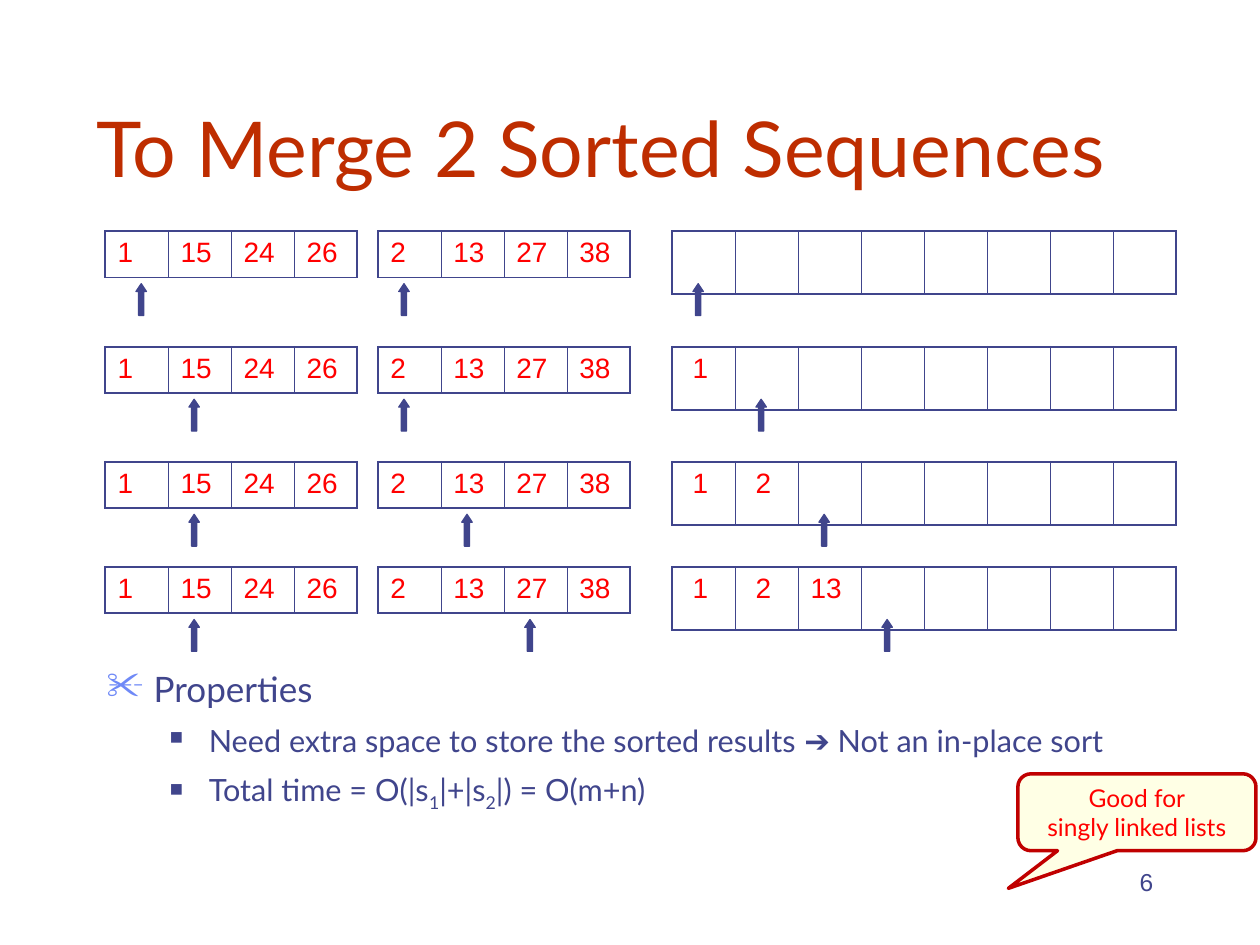
from dataclasses import dataclass
from typing import Any

from lxml import etree
from pptx import Presentation
from pptx.dml.color import RGBColor
from pptx.enum.shapes import MSO_SHAPE
from pptx.enum.text import MSO_ANCHOR, MSO_AUTO_SIZE, PP_ALIGN
from pptx.oxml.ns import qn
from pptx.util import Cm, Pt

UP_ARROW = MSO_SHAPE.UP_ARROW
CALLOUT = MSO_SHAPE.ROUNDED_RECTANGULAR_CALLOUT
TOP, MIDDLE, BOTTOM = MSO_ANCHOR.TOP, MSO_ANCHOR.MIDDLE, MSO_ANCHOR.BOTTOM
LEFT, CENTER, RIGHT = PP_ALIGN.LEFT, PP_ALIGN.CENTER, PP_ALIGN.RIGHT
FIT_SHAPE = MSO_AUTO_SIZE.SHAPE_TO_FIT_TEXT

INDIGO, RED = "40458C", "FF0000"
CELL = 1.27
FIRST_LEFT, SECOND_LEFT, MERGED_LEFT = 2.12, 7.62, 13.55
INPUT_HEIGHT, MERGED_HEIGHT = 0.93, 1.27
ARROW_INSET, ARROW_DROP = 0.42, 1.06
OUTER_LINE, INNER_LINE = Pt(1.08), Pt(0.45)

TITLE_FONT = {"name": "Lato", "size": Pt(44), "color": "BE2D00"}
PROPERTY_FONT = {"name": "Lato", "size": Pt(20), "color": INDIGO}
DETAIL_FONT = {"name": "Lato", "size": Pt(17.5), "color": INDIGO}
NUMBER_FONT = {"name": "Arial", "size": Pt(16), "color": RED}
CALLOUT_FONT = {"name": "Lato", "size": Pt(14), "color": RED}
PAGE_FONT = {"name": "Arial", "size": Pt(14), "color": INDIGO}


@dataclass
class MergeStep:
    top: float
    merged: list[str]
    first_pointer: float
    second_pointer: float


@dataclass
class Bullet:
    runs: list[tuple[str, dict[str, Any]]]
    font: dict[str, Any]
    level: int
    margin: float
    hanging: float
    symbol: str
    color: str
    percent: int
    space_before: float


FIRST = ["1", "15", "24", "26"]
SECOND = ["2", "13", "27", "38"]
STEPS = [
    MergeStep(4.66, [], 0.16, 0),
    MergeStep(6.99, ["1"], 1, 0),
    MergeStep(9.31, ["1", "2"], 1, 1),
    MergeStep(11.43, ["1", "2", "13"], 1, 2),
]

SUBSCRIPT = {"subscript": True}
DETAIL_STYLE = {
    "font": DETAIL_FONT, "level": 1, "margin": 2.06, "hanging": 0.79,
    "symbol": "■", "color": INDIGO, "percent": 60, "space_before": 7,
}
BULLETS = [
    Bullet([("Properties", {})], PROPERTY_FONT, 0, 0.95, 0.95, "✂", "6F89F7", 110, 0),
    Bullet([
        ("Need extra space to store the sorted results ", {}),
        ("➔", {"name": "Arial"}),
        (" Not an in-place sort", {}),
    ], **DETAIL_STYLE),
    Bullet([
        ("Total time = O(|s", {}), ("1", SUBSCRIPT), ("|+|s", {}),
        ("2", SUBSCRIPT), ("|) = O(m+n)", {}),
    ], **DETAIL_STYLE),
]


def rgb(color: str) -> RGBColor:
    return RGBColor.from_string(color)


def add_run(paragraph, text: str, values: dict[str, Any]) -> None:
    run = paragraph.add_run()
    run.text = text
    for name, value in values.items():
        if name == "color":
            run.font.color.rgb = rgb(value)
        elif name == "subscript":
            run.font._element.set("baseline", "-25000")
        else:
            setattr(run.font, name, value)


def add_text_box(slide, left: float, top: float, width: float, height: float, anchor=TOP):
    frame = slide.shapes.add_textbox(Cm(left), Cm(top), Cm(width), Cm(height)).text_frame
    frame.word_wrap = True
    frame.vertical_anchor = anchor
    return frame


def add_line_of_text(frame, text: str, font: dict[str, Any], alignment=LEFT) -> None:
    paragraph = frame.paragraphs[0]
    paragraph.alignment = alignment
    add_run(paragraph, text, font)


def add_border(cell, side: str, width: int) -> None:
    line = etree.SubElement(cell._tc.get_or_add_tcPr(), qn(f"a:{side}"), w=str(width))
    fill = etree.SubElement(line, qn("a:solidFill"))
    etree.SubElement(fill, qn("a:srgbClr"), val=INDIGO)


def add_sequence(slide, left: float, top: float, height: float, count: int,
                 values: list[str], digit_margin: float = 0.25) -> None:
    table = slide.shapes.add_table(
        1, count, Cm(left), Cm(top), Cm(CELL * count), Cm(height)).table
    table.first_row = table.horz_banding = False
    for index, cell in enumerate(table.iter_cells()):
        table.columns[index].width = Cm(CELL)
        add_border(cell, "lnL", OUTER_LINE if index == 0 else INNER_LINE)
        add_border(cell, "lnR", OUTER_LINE if index == count - 1 else INNER_LINE)
        add_border(cell, "lnT", OUTER_LINE)
        add_border(cell, "lnB", OUTER_LINE)
        cell.fill.background()
        if index < len(values):
            cell.margin_left = Cm(digit_margin if len(values[index]) == 1 else 0.25)
            add_line_of_text(cell.text_frame, values[index], NUMBER_FONT)


def add_shape(slide, kind, box: tuple[float, ...], adjustments: list[float],
              fill: str, line: str, line_width: float):
    shape = slide.shapes.add_shape(kind, *map(Cm, box))
    shape.shadow.inherit = False
    for index, value in enumerate(adjustments):
        shape.adjustments[index] = value
    shape.fill.solid()
    shape.fill.fore_color.rgb = rgb(fill)
    shape.line.color.rgb = rgb(line)
    shape.line.width = Pt(line_width)
    return shape


def add_pointer(slide, left: float, top: float, position: float) -> None:
    box = (left + ARROW_INSET + CELL * position, top + ARROW_DROP, 0.21, 0.64)
    add_shape(slide, UP_ARROW, box, [0.5, 0.75], INDIGO, INDIGO, 0.75)


def add_step(slide, step: MergeStep) -> None:
    add_sequence(slide, FIRST_LEFT, step.top, INPUT_HEIGHT, 4, FIRST)
    add_sequence(slide, SECOND_LEFT, step.top, INPUT_HEIGHT, 4, SECOND)
    add_sequence(slide, MERGED_LEFT, step.top, MERGED_HEIGHT, 8, step.merged, 0.41)
    add_pointer(slide, FIRST_LEFT, step.top, step.first_pointer)
    add_pointer(slide, SECOND_LEFT, step.top, step.second_pointer)
    add_pointer(slide, MERGED_LEFT, step.top, len(step.merged))


def add_bullet(paragraph, bullet: Bullet) -> None:
    paragraph.level = bullet.level
    paragraph.space_before = Pt(bullet.space_before)
    properties = paragraph._p.get_or_add_pPr()
    properties.set("marL", str(Cm(bullet.margin)))
    properties.set("indent", str(-Cm(bullet.hanging)))
    color = etree.SubElement(properties, qn("a:buClr"))
    etree.SubElement(color, qn("a:srgbClr"), val=bullet.color)
    etree.SubElement(properties, qn("a:buSzPct"), val=str(bullet.percent * 1000))
    etree.SubElement(properties, qn("a:buChar"), char=bullet.symbol)
    for text, changes in bullet.runs:
        add_run(paragraph, text, bullet.font | changes)


def add_callout(slide) -> None:
    shape = add_shape(slide, CALLOUT, (20.52, 15.6, 4.8, 1.55),
                      [-0.54, 0.99, 0.17], "FFFFCC", "C00000", 2)
    color = shape.fill._xPr.find(qn("a:solidFill")).find(qn("a:srgbClr"))
    etree.SubElement(color, qn("a:alpha"), val="50000")
    frame = shape.text_frame
    frame.word_wrap = False
    frame.auto_size = FIT_SHAPE
    frame.vertical_anchor = MIDDLE
    add_line_of_text(frame, "Good for", CALLOUT_FONT, CENTER)
    paragraph = frame.add_paragraph()
    paragraph.alignment = CENTER
    add_run(paragraph, "singly linked lists", CALLOUT_FONT)


def main() -> None:
    presentation = Presentation()
    presentation.slide_width, presentation.slide_height = Cm(25.4), Cm(19.05)
    slide = presentation.slides.add_slide(presentation.slide_layouts[6])
    add_line_of_text(add_text_box(slide, 18.21, 17.35, 5.29, 1.27), "6", PAGE_FONT, RIGHT)
    title = add_text_box(slide, 1.7, 0.84, 21.59, 3.18, BOTTOM)
    add_line_of_text(title, "To Merge 2 Sorted Sequences", TITLE_FONT)
    body = add_text_box(slide, 1.9, 13.34, 21.59, 4.01)
    for index, bullet in enumerate(BULLETS):
        add_bullet(body.add_paragraph() if index else body.paragraphs[0], bullet)
    for step in STEPS:
        add_step(slide, step)
    add_callout(slide)
    presentation.save("out.pptx")


if __name__ == "__main__":
    main()
